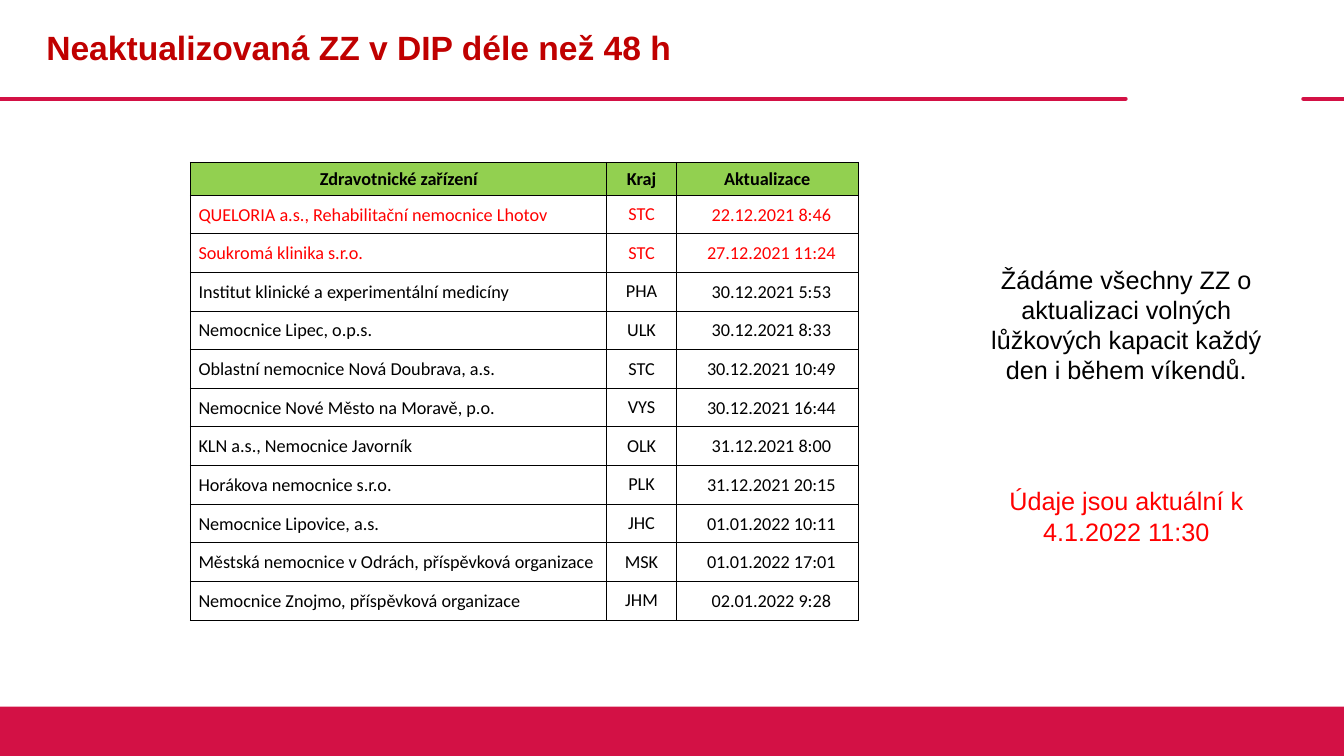
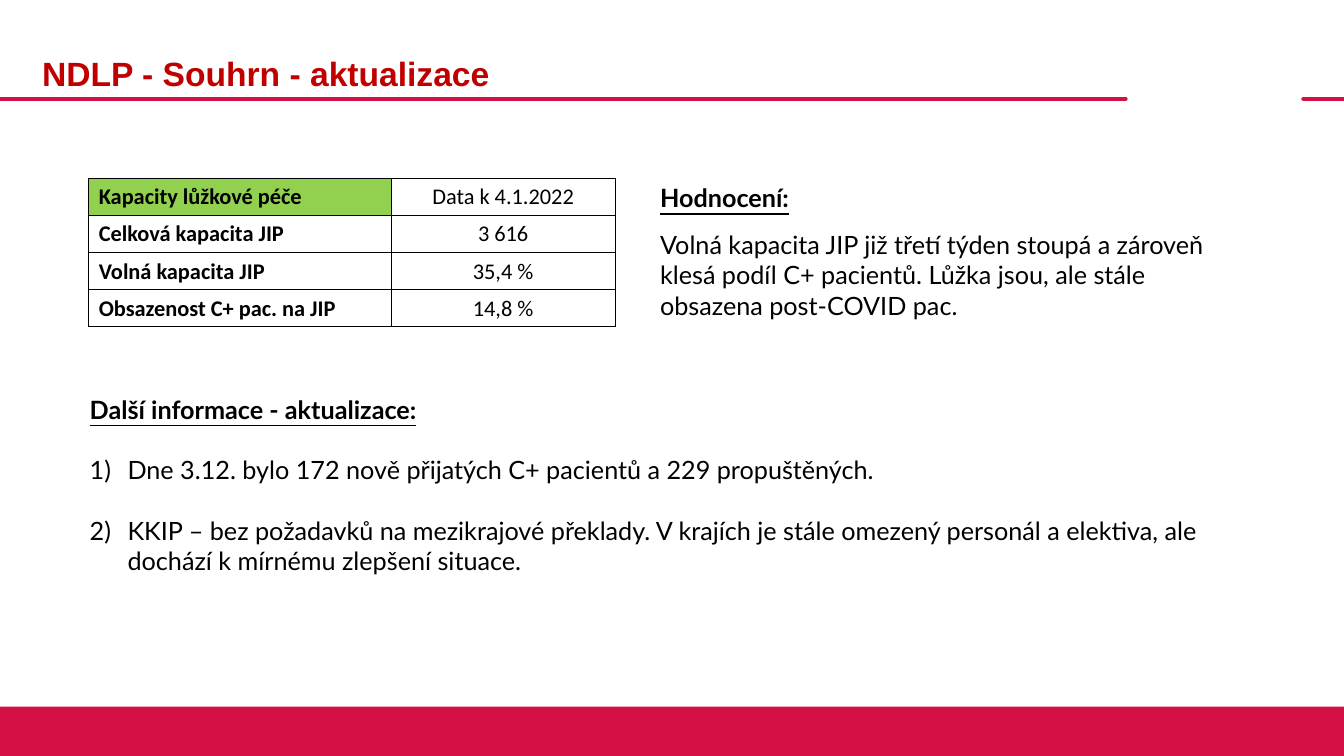
from lxml import etree
from pptx import Presentation
from pptx.dml.color import RGBColor
from pptx.enum.shapes import MSO_CONNECTOR, MSO_SHAPE
from pptx.enum.text import MSO_ANCHOR, PP_ALIGN
from pptx.oxml.ns import qn
from pptx.util import Pt

LEFT, CENTER = PP_ALIGN.LEFT, PP_ALIGN.CENTER
TOP, MIDDLE = MSO_ANCHOR.TOP, MSO_ANCHOR.MIDDLE
STRAIGHT, RECTANGLE = MSO_CONNECTOR.STRAIGHT, MSO_SHAPE.RECTANGLE

COLORS = {
    "band": "D31145",
    "title": "C00000",
    "alert": "FF0000",
    "text": "000000",
    "header": "92D050",
    "paper": "FFFFFF",
}
SLIDE_W, SLIDE_H = 960, 540
RULE_Y = 70.5
RULES = [(0, 804), (931, SLIDE_W)]
BAND_TOP = 504.7
LIST_INDENT = 27

FACILITY_HEADER = ("Zdravotnické zařízení", "Kraj", "Aktualizace")
FACILITIES = [
    ("QUELORIA a.s., Rehabilitační nemocnice Lhotov", "STC", "22.12.2021 8:46"),
    ("Soukromá klinika s.r.o.", "STC", "27.12.2021 11:24"),
    ("Institut klinické a experimentální medicíny", "PHA", "30.12.2021 5:53"),
    ("Nemocnice Lipec, o.p.s.", "ULK", "30.12.2021 8:33"),
    ("Oblastní nemocnice Nová Doubrava, a.s.", "STC", "30.12.2021 10:49"),
    ("Nemocnice Nové Město na Moravě, p.o.", "VYS", "30.12.2021 16:44"),
    ("KLN a.s., Nemocnice Javorník", "OLK", "31.12.2021 8:00"),
    ("Horákova nemocnice s.r.o.", "PLK", "31.12.2021 20:15"),
    ("Nemocnice Lipovice, a.s.", "JHC", "01.01.2022 10:11"),
    ("Městská nemocnice v Odrách, příspěvková organizace", "MSK", "01.01.2022 17:01"),
    ("Nemocnice Znojmo, příspěvková organizace", "JHM", "02.01.2022 9:28"),
]
OVERDUE_COUNT = 2

CAPACITIES = [
    ("Kapacity lůžkové péče", "Data k 4.1.2022"),
    ("Celková kapacita JIP", "3 616"),
    ("Volná kapacita JIP", "35,4 %"),
    ("Obsazenost C+ pac. na JIP", "14,8 %"),
]
NEWS = [
    "Dne 3.12. bylo 172 nově přijatých C+ pacientů a 229 propuštěných.",
    "KKIP – bez požadavků na mezikrajové překlady. V krajích je stále omezený personál "
    "a elektiva, ale dochází k mírnému zlepšení situace.",
]


def rgb(name):
    return RGBColor.from_string(COLORS[name])


def write(frame, text, font="Arial", size=18, color="text", bold=False, underline=False,
          align=LEFT, before=0, after=0, spacing=None, numbered=False):
    paragraph = frame.paragraphs[0]
    if paragraph.runs:
        paragraph = frame.add_paragraph()
    paragraph.alignment = align
    paragraph.space_before, paragraph.space_after = Pt(before), Pt(after)
    if spacing:
        paragraph.line_spacing = spacing
    if numbered:
        properties = paragraph._p.get_or_add_pPr()
        properties.set("marL", str(Pt(LIST_INDENT)))
        properties.set("indent", str(-Pt(LIST_INDENT)))
        etree.SubElement(properties, qn("a:buFont"), typeface="+mj-lt")
        etree.SubElement(properties, qn("a:buAutoNum"), type="arabicParenR")
    run = paragraph.add_run()
    run.text = text
    run.font.name, run.font.size = font, Pt(size)
    run.font.bold, run.font.underline = bold, underline
    run.font.color.rgb = rgb(color)


def add_text_frame(slide, box, anchor=TOP):
    frame = slide.shapes.add_textbox(*map(Pt, box)).text_frame
    frame.word_wrap = True
    frame.vertical_anchor = anchor
    return frame


def add_rule(slide, start, end):
    rule = slide.shapes.add_connector(STRAIGHT, Pt(start), Pt(RULE_Y), Pt(end), Pt(RULE_Y))
    rule.line.color.rgb = rgb("band")
    rule.line.width = Pt(3)
    rule.line._get_or_add_ln().set("cap", "rnd")
    etree.SubElement(rule._element.spPr, qn("a:effectLst"))


def add_framed_slide(deck, title, title_box):
    slide = deck.slides.add_slide(deck.slide_layouts[6])
    for start, end in RULES:
        add_rule(slide, start, end)
    band = slide.shapes.add_shape(
        RECTANGLE, 0, Pt(BAND_TOP), Pt(SLIDE_W), Pt(SLIDE_H - BAND_TOP))
    band.shadow.inherit = False
    band.fill.solid()
    band.fill.fore_color.rgb = rgb("band")
    band.line.fill.background()
    write(add_text_frame(slide, title_box, MIDDLE), title,
          size=24, color="title", bold=True, spacing=0.9)
    return slide


def add_plain_table(slide, left, top, widths, heights):
    table = slide.shapes.add_table(
        len(heights), len(widths), Pt(left), Pt(top), Pt(sum(widths)), Pt(sum(heights))).table
    table.first_row = table.horz_banding = False
    for column, width in zip(table.columns, widths):
        column.width = Pt(width)
    for row, height in zip(table.rows, heights):
        row.height = Pt(height)
    return table


def set_cell(cell, text, fill="paper", side_line=1, level_line=1, margins=None,
             anchor=MIDDLE, **text_format):
    if margins:
        (cell.margin_left, cell.margin_top,
         cell.margin_right, cell.margin_bottom) = map(Pt, margins)
    cell.vertical_anchor = anchor
    properties = cell._tc.get_or_add_tcPr()
    for edge, width in (("L", side_line), ("R", side_line), ("T", level_line), ("B", level_line)):
        border = etree.SubElement(properties, qn(f"a:ln{edge}"), w=str(Pt(width)))
        ink = etree.SubElement(border, qn("a:solidFill"))
        etree.SubElement(ink, qn("a:srgbClr"), val=COLORS["text"])
    cell.fill.solid()
    cell.fill.fore_color.rgb = rgb(fill)
    write(cell.text_frame, text, font="Calibri", **text_format)


def add_facility_table(slide, left, top):
    table = add_plain_table(
        slide, left, top, [297.5, 49.5, 130], [23.4] + [27.6] * len(FACILITIES))
    tight = (0.7, 0.7, 0.7, 0)
    for column, heading in enumerate(FACILITY_HEADER):
        set_cell(table.cell(0, column), heading, fill="header", margins=tight,
                 size=13, bold=True, align=CENTER)
    column_styles = [
        (LEFT, (5.8, 0.7, 0.7, 0)),
        (CENTER, (0.7, 5.8, 0.7, 5.8)),
        (CENTER, (6.5, 0.7, 0.7, 0)),
    ]
    for row, facility in enumerate(FACILITIES, 1):
        color = "alert" if row <= OVERDUE_COUNT else "text"
        top_line = 1 if row == 1 else 0.5
        for column, (text, (align, margins)) in enumerate(zip(facility, column_styles)):
            set_cell(table.cell(row, column), text, level_line=top_line, margins=margins,
                     size=13, color=color, align=align)


def add_capacity_table(slide, left, top):
    table = add_plain_table(slide, left, top, [216, 160], [26.5] * len(CAPACITIES))
    for row, (label, value) in enumerate(CAPACITIES):
        set_cell(table.cell(row, 0), label, fill="paper" if row else "header", anchor=TOP,
                 side_line=0.75, level_line=0.75, size=16, bold=True)
        set_cell(table.cell(row, 1), value, side_line=0.75, level_line=0.75,
                 size=16, align=CENTER)


def add_assessment(slide, box):
    frame = add_text_frame(slide, box)
    write(frame, "Hodnocení:", font="Lato", bold=True, underline=True, after=12)
    write(frame, "Volná kapacita JIP již třetí týden stoupá a zároveň klesá podíl C+ pacientů. "
          "Lůžka jsou, ale stále obsazena post-COVID pac.", font="Lato")


def add_news(slide, box):
    frame = add_text_frame(slide, box)
    write(frame, "Další informace - aktualizace:", font="Lato", bold=True, underline=True)
    for item in NEWS:
        write(frame, item, font="Lato", before=21.6, numbered=True)


def build_outdated_slide(deck):
    slide = add_framed_slide(
        deck, "Neaktualizovaná ZZ v DIP déle než 48 h", (26, 0, 778, 70.5))
    add_facility_table(slide, 136, 116)
    write(add_text_frame(slide, (697, 185, 215, 94)),
          "Žádáme všechny ZZ o aktualizaci volných lůžkových kapacit každý den i během víkendů.",
          align=CENTER)
    write(add_text_frame(slide, (701, 343.3, 207, 51)),
          "Údaje jsou aktuální k 4.1.2022 11:30", color="alert", align=CENTER)


def build_summary_slide(deck):
    slide = add_framed_slide(deck, "NDLP - Souhrn - aktualizace", (23, 18.5, 778, 70.5))
    add_capacity_table(slide, 63.4, 127.5)
    add_news(slide, (57, 278, 862, 181))
    add_assessment(slide, (464.4, 126.7, 414, 107))


def main():
    deck = Presentation()
    deck.slide_width, deck.slide_height = Pt(SLIDE_W), Pt(SLIDE_H)
    build_outdated_slide(deck)
    build_summary_slide(deck)
    deck.save("out.pptx")


if __name__ == "__main__":
    main()
